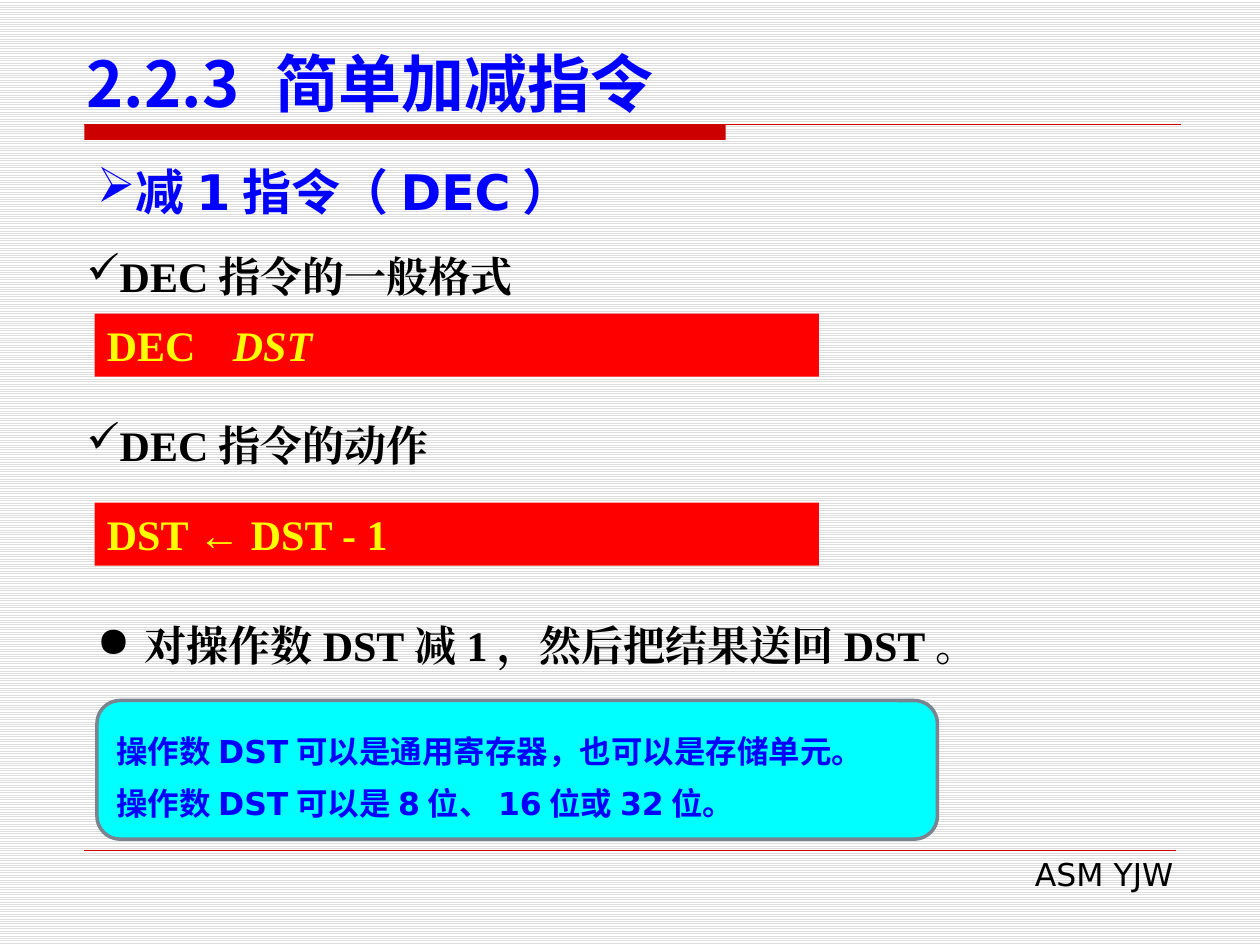
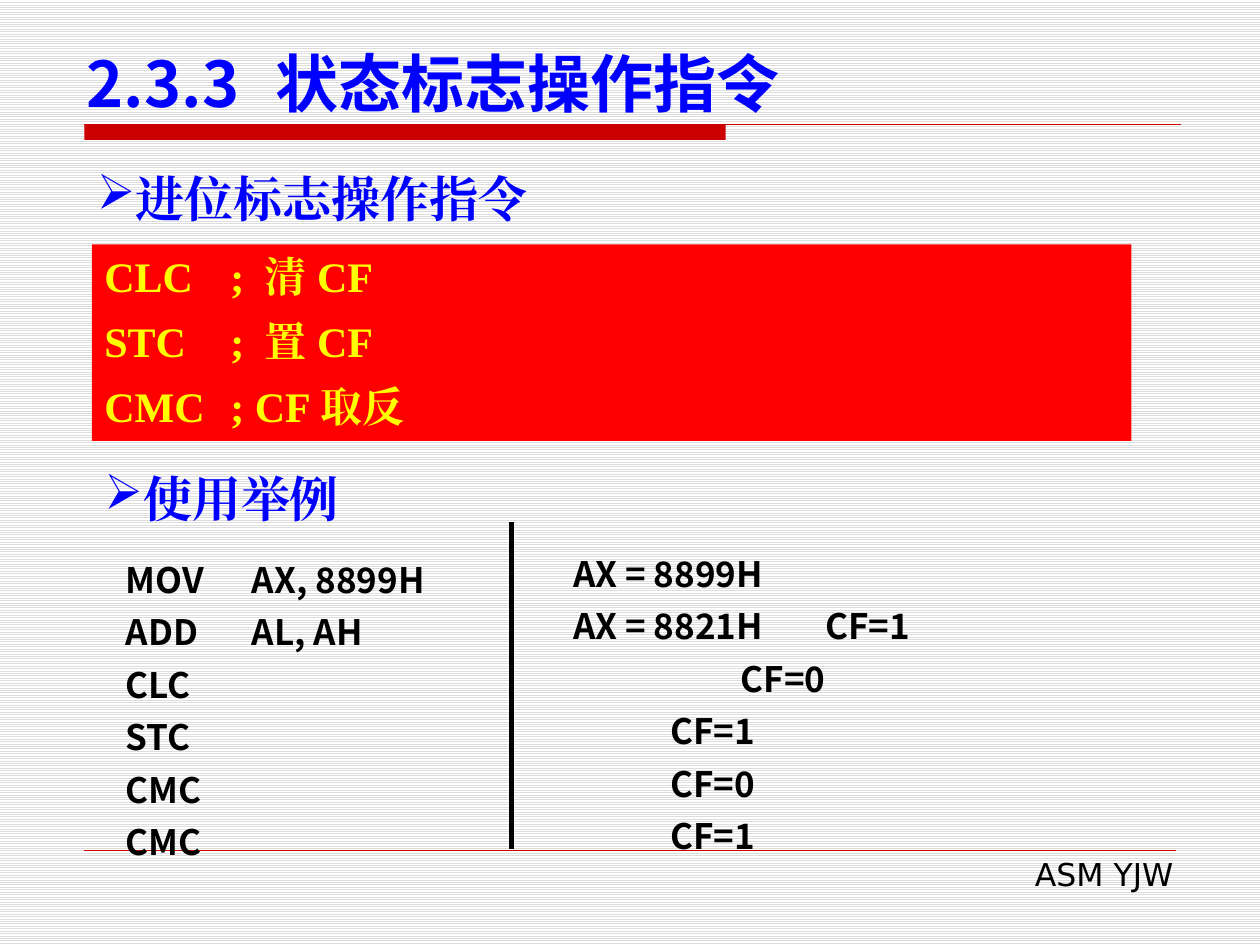
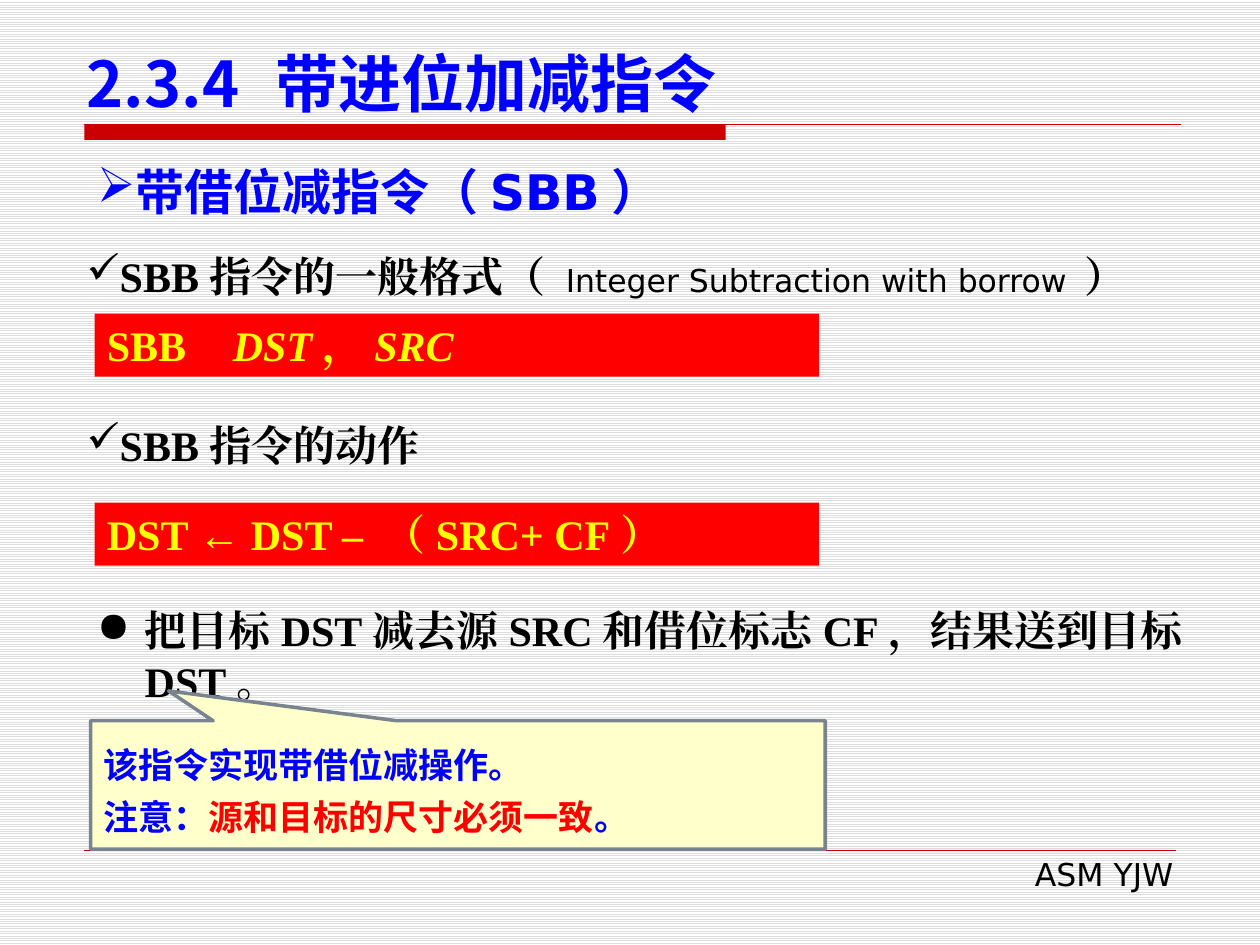
from lxml import etree
from pptx import Presentation
from pptx.dml.color import RGBColor
from pptx.enum import dml, shapes, text
from pptx.oxml.ns import qn
from pptx.util import Inches, Pt

BLUE = RGBColor(0x00, 0x00, 0xFF)
RED = RGBColor(0xFF, 0x00, 0x00)
YELLOW = RGBColor(0xFF, 0xFF, 0x00)
BLACK = RGBColor(0x00, 0x00, 0x00)
WHITE = RGBColor(0xFF, 0xFF, 0xFF)
STRIPE = RGBColor(0xDD, 0xDD, 0xDD)
CRIMSON = RGBColor(0xCC, 0x00, 0x00)
CYAN = RGBColor(0x00, 0xFF, 0xFF)
CREAM = RGBColor(0xFF, 0xFF, 0xCC)
SLATE = RGBColor(0x79, 0x84, 0x8F)

SANS = "DejaVu Sans"
SERIF = "Times New Roman"
CJK = "Noto Sans CJK SC"

ITALIC = {"italic": True}
SMALL = {"size": 18, "font": SANS, "bold": False}
WARNING = {"color": RED}

DEC = {
    "title": "2.2.3\t简单加减指令",
    "heading": "减1指令（DEC）",
    "format": "DEC指令的一般格式",
    "syntax": ["DEC\t", ("DST", ITALIC)],
    "syntax_tab": 1.12,
    "action": "DEC指令的动作",
    "effect": "DST ← DST - 1",
    "summary": "对操作数DST减1，然后把结果送回DST。",
    "summary_top": 4.77,
    "summary_spacing": 36,
    "note": ["操作数DST可以是通用寄存器，也可以是存储单元。",
             "操作数DST可以是8位、16位或32位。"],
    "note_at": (0.77, 5.56, 6.67, 1.1),
    "note_shape": shapes.MSO_SHAPE.ROUNDED_RECTANGLE,
    "note_fill": CYAN,
    "note_size": 18,
}

SBB = {
    "title": "2.3.4\t带进位加减指令",
    "heading": "带借位减指令（SBB）",
    "format": ["SBB指令的一般格式（ ",
               ("Integer Subtraction with borrow ", SMALL), "）"],
    "syntax": ["SBB\t", ("DST", ITALIC), "，", ("SRC", ITALIC)],
    "syntax_tab": 1.05,
    "action": "SBB指令的动作",
    "effect": "DST ← DST – （SRC+ CF）",
    "summary": "把目标DST减去源SRC和借位标志CF，结果送到目标DST。",
    "summary_top": 4.75,
    "summary_spacing": None,
    "note": ["该指令实现带借位减操作。",
             ["注意：", ("源和目标的尺寸必须一致", WARNING), "。"]],
    "note_at": (0.72, 5.72, 5.83, 1.02),
    "note_shape": shapes.MSO_SHAPE.RECTANGULAR_CALLOUT,
    "note_fill": CREAM,
    "note_size": 20,
    "note_tail": (-0.394, -0.732),
}

FLAG_TITLE = "2.3.3\t状态标志操作指令"
FLAG_COMMANDS = ["CLC\t; 清CF", "STC\t; 置CF", "CMC\t; CF取反"]
EXAMPLE_CODE = ["MOV\tAX, 8899H", "ADD\tAL, AH", "CLC", "STC", "CMC", "CMC"]
EXAMPLE_RESULTS = ["AX = 8899H", "AX = 8821H\tCF=1", "CF=0", "CF=1", "CF=0", "CF=1"]
RESULT_INDENTS = [0, 0, 1.33, 0.77, 0.77, 0.77]


def add_text(page, at, paragraphs, size, color=BLACK, font=SERIF, bold=True,
             shape=None, fill=None, line=None, anchor=text.MSO_ANCHOR.TOP,
             align=text.PP_ALIGN.LEFT, bullet=None, indents=(), hanging=0,
             tab=None, spacing=None, before=None):
    place = [Inches(length) for length in at]
    if shape is None:
        box = page.shapes.add_textbox(*place)
    else:
        box = page.shapes.add_shape(shape, *place)
        box.shadow.inherit = False
        box.fill.solid()
        box.fill.fore_color.rgb = fill
        if line is None:
            box.line.fill.background()
        else:
            box.line.color.rgb = line
            box.line.width = Pt(2)
    frame = box.text_frame
    frame.word_wrap = True
    frame.vertical_anchor = anchor
    for index, content in enumerate(paragraphs):
        para = frame.add_paragraph() if index else frame.paragraphs[0]
        para.alignment = align
        properties = para._p.get_or_add_pPr()
        left = indents[index] if indents else hanging
        properties.set("marL", str(Inches(left)))
        properties.set("indent", str(-Inches(hanging)))
        if bullet:
            etree.SubElement(properties, qn("a:buChar"), char=bullet)
        if tab:
            stops = etree.SubElement(properties, qn("a:tabLst"))
            etree.SubElement(stops, qn("a:tab"), pos=str(Inches(tab)), algn="l")
        if spacing:
            para.line_spacing = Pt(spacing)
        if before and index:
            para.space_before = Pt(before)
        for part in [content] if isinstance(content, str) else content:
            words, changes = (part, {}) if isinstance(part, str) else part
            style = {"size": size, "color": color, "font": font,
                     "bold": bold, "italic": False, **changes}
            span = para.add_run()
            span.text = words
            span.font.size = Pt(style["size"])
            span.font.color.rgb = style["color"]
            span.font.name = style["font"]
            span.font.bold = style["bold"]
            span.font.italic = style["italic"]
            etree.SubElement(span._r.get_or_add_rPr(), qn("a:ea"), typeface=style["font"])
    return box


def add_line(page, start, end, color, width):
    ends = [Inches(length) for length in start + end]
    line = page.shapes.add_connector(shapes.MSO_CONNECTOR.STRAIGHT, *ends)
    line.line.color.rgb = color
    line.line.width = Pt(width)
    etree.SubElement(line._element.spPr, qn("a:effectLst"))


def add_heading(page, left, top, words, font=SERIF):
    add_text(page, (left, top, 8.67, 0.57), [words], 28, BLUE, font, bullet="➢")


def add_red_box(page, at, paragraphs, **options):
    add_text(page, at, paragraphs, 24, YELLOW,
             shape=shapes.MSO_SHAPE.RECTANGLE, fill=RED, **options)


def add_page(deck, title):
    page = deck.slides.add_slide(deck.slide_layouts[6])
    fill = page.background.fill
    fill.patterned()
    fill.pattern = dml.MSO_PATTERN.LIGHT_HORIZONTAL
    fill.fore_color.rgb = STRIPE
    fill.back_color.rgb = WHITE
    add_text(page, (0.67, 0.99, 5.09, 0.12), [], 18,
             shape=shapes.MSO_SHAPE.RECTANGLE, fill=CRIMSON)
    add_line(page, (0.67, 0.99), (9.37, 0.99), CRIMSON, 0.75)
    add_line(page, (0.67, 6.75), (9.33, 6.75), CRIMSON, 0.25)
    add_text(page, (3.82, 6.74, 5.59, 0.4), ["ASM YJW"], 18, font=SANS,
             bold=False, align=text.PP_ALIGN.RIGHT)
    add_text(page, (0.59, 0.29, 9.06, 0.71), [title], 36, BLUE, CJK,
             anchor=text.MSO_ANCHOR.BOTTOM, tab=1.57)
    return page


def add_instruction(deck, item):
    page = add_page(deck, item["title"])
    add_text(page, (0.59, 1.94, 8.67, 0.5), [item["format"]], 24, bullet="✓")
    add_red_box(page, (0.75, 2.49, 5.75, 0.5), [item["syntax"]], tab=item["syntax_tab"])
    add_text(page, (0.59, 3.28, 7.33, 0.5), [item["action"]], 24, bullet="✓")
    add_red_box(page, (0.75, 3.99, 5.75, 0.5), [item["effect"]])
    add_text(page, (0.67, item["summary_top"], 9.08, 0.5), [item["summary"]], 24,
             bullet="●", hanging=0.38, spacing=item["summary_spacing"])
    add_heading(page, 0.67, 1.23, item["heading"], SANS)
    note = add_text(page, item["note_at"], item["note"], item["note_size"], BLUE, SANS,
                    shape=item["note_shape"], fill=item["note_fill"], line=SLATE,
                    anchor=text.MSO_ANCHOR.MIDDLE, spacing=30)
    for index, offset in enumerate(item.get("note_tail", ())):
        note.adjustments[index] = offset


def add_flags(deck):
    page = add_page(deck, FLAG_TITLE)
    add_heading(page, 0.67, 1.29, "进位标志操作指令")
    add_red_box(page, (0.73, 1.94, 8.25, 1.56), FLAG_COMMANDS, tab=2.67, before=8.4)
    add_heading(page, 0.73, 3.67, "使用举例")
    add_text(page, (0.9, 4.3, 2.72, 2.63), EXAMPLE_CODE, 20, font=CJK, tab=1, spacing=30)
    add_text(page, (4.45, 4.25, 4.42, 2.63), EXAMPLE_RESULTS, 20, font=CJK,
             indents=RESULT_INDENTS, tab=1.67, spacing=30)
    add_line(page, (4.06, 4.14), (4.06, 6.74), BLACK, 3)


def main():
    deck = Presentation()
    deck.slide_width = Inches(10)
    deck.slide_height = Inches(7.5)
    add_instruction(deck, DEC)
    add_flags(deck)
    add_instruction(deck, SBB)
    deck.save("out.pptx")


if __name__ == "__main__":
    main()
